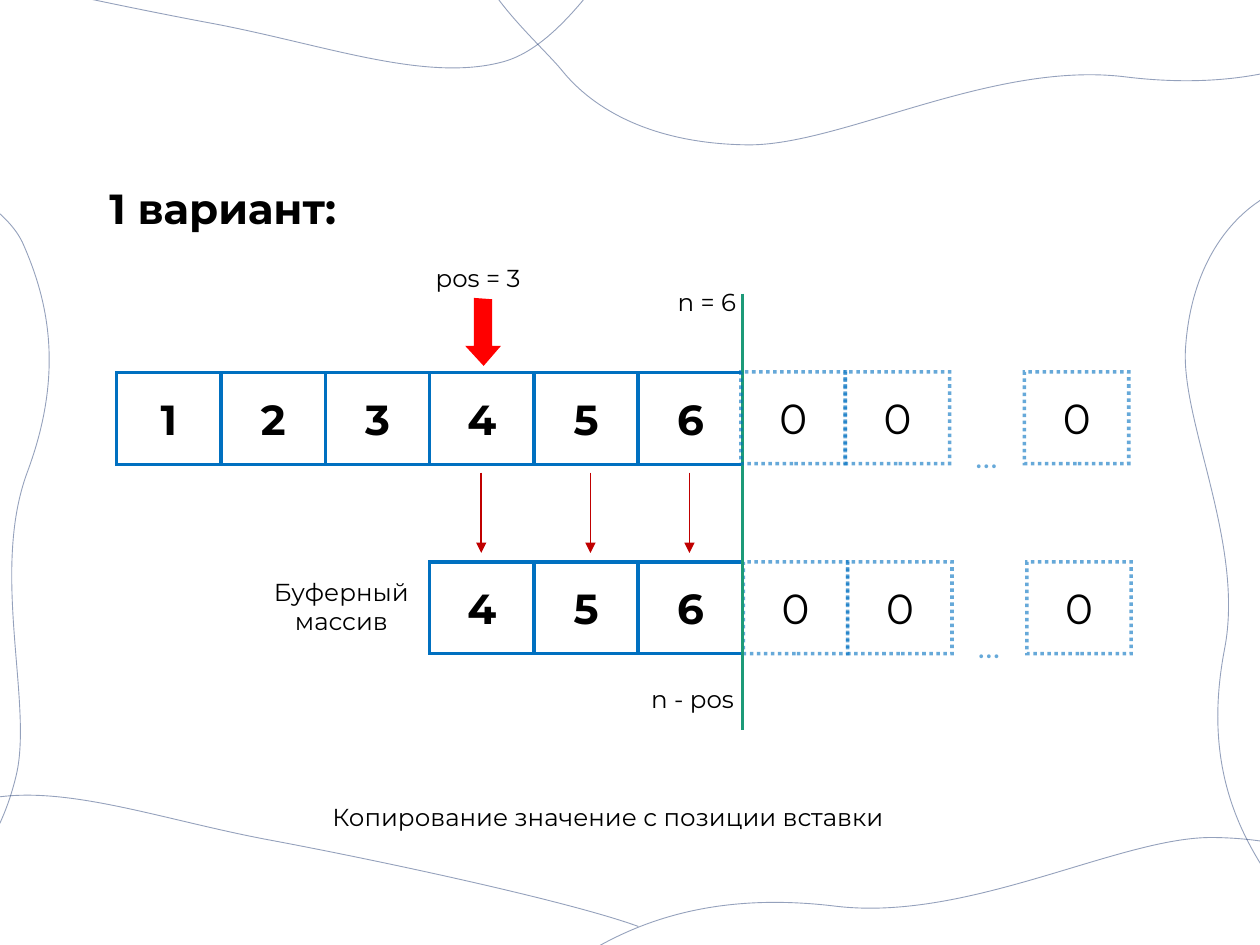
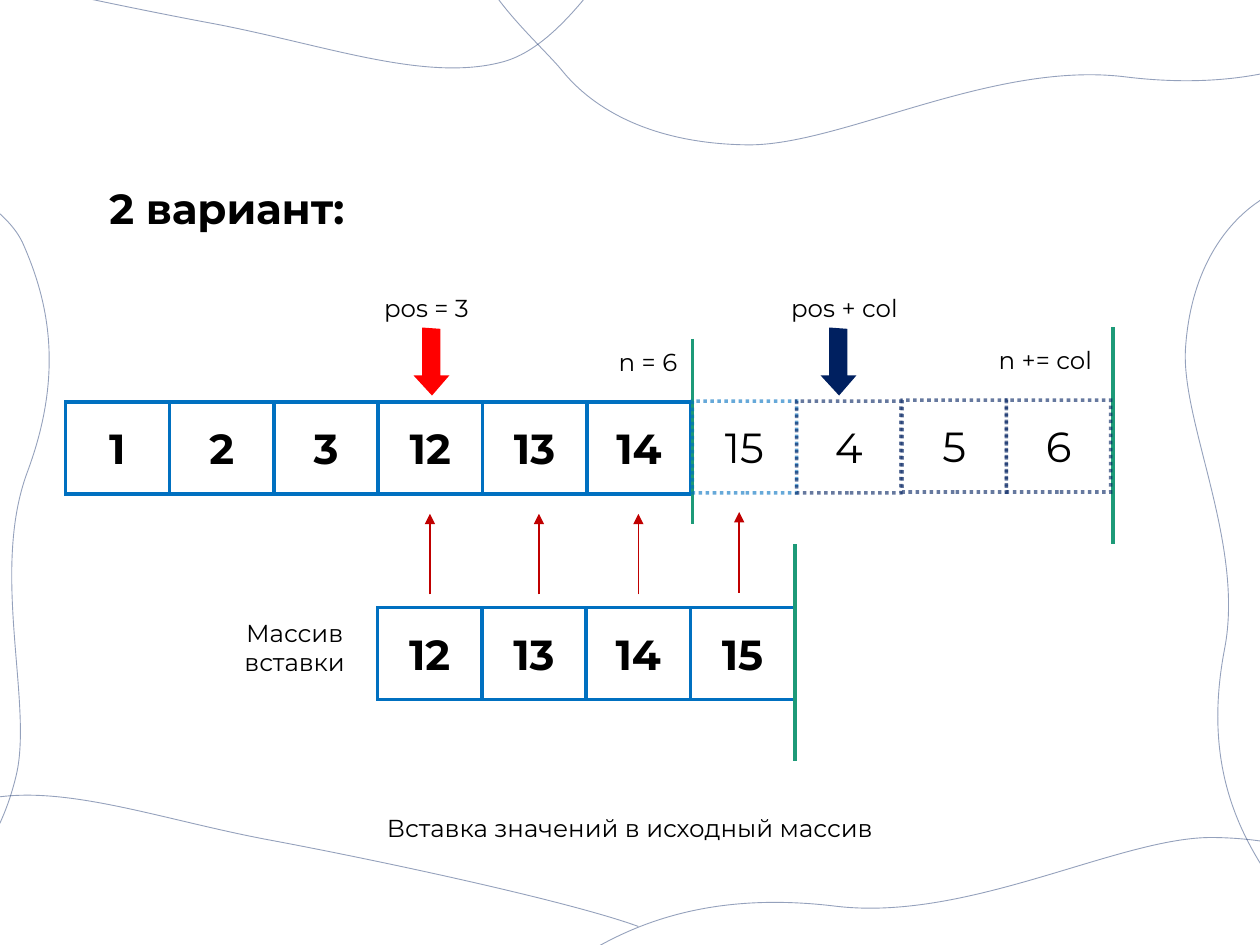
from dataclasses import dataclass

import pptx
import pptx.dml.color
import pptx.enum.dml
import pptx.enum.shapes
import pptx.enum.text
import pptx.oxml.ns
import pptx.util
from lxml import etree

Pt = pptx.util.Pt
ALIGN = pptx.enum.text.PP_ALIGN
ANCHOR = pptx.enum.text.MSO_ANCHOR
qn = pptx.oxml.ns.qn


@dataclass(frozen=True)
class Theme:
    font: str = "Montserrat"
    black: str = "000000"
    white: str = "FFFFFF"
    blue: str = "0070C0"
    navy: str = "002060"
    green: str = "1D9A78"
    red: str = "FF0000"
    dark_red: str = "C00000"
    big: int = 24
    dots: int = 20
    small: int = 14


THEME = Theme()

# Cell grid and the block arrow outline
STEP, HIGH = 59.6, 52.5
ARROW = [(4.3, 0), (4.3, 27.4), (0, 27.4), (9.4, 37.6),
         (18.2, 27.4), (13.7, 27.4), (13.7, 0.7)]

# Background waves: size, then a start point and three points per Bezier piece
SIDE = (468, 144.7), [
    (424.5, 30.6), (394.9, 17.7), (113.4, 30.6), (37.1, 29.2),
    (-38.5, 28.5), (22, 85.3), (34.9, 104.8),
    (48.6, 123.5), (74.5, 141.5), (117, 144.4),
    (158.8, 147.3), (229.3, 110.5), (289.1, 122.1),
    (348.9, 133.6), (387.7, 117.7), (418, 97.6),
    (447.5, 76.7), (454, 8.3), (468, 0)]
SHORT = (445.7, 167), [
    (0, 167), (42.6, 168.7), (155.5, 157.3), (218.6, 149.2),
    (282.7, 141.4), (344.1, 144.3), (382.2, 119.2),
    (419.6, 94.3), (427.5, 10.9), (445.7, 0)]
LONG = (592.6, 176.4), [
    (537.2, 37.5), (499.9, 22.4), (143.6, 37.8), (47.8, 36.9),
    (-48.7, 35.3), (28.2, 105.1), (45, 128.2),
    (61.7, 151.5), (94.5, 172.8), (148.4, 176.4),
    (201.5, 180), (290.4, 135.8), (366.2, 149.3),
    (441.9, 162.8), (491.2, 143.8), (528.5, 119.1),
    (566.7, 93.8), (574.1, 10.6), (592.6, 0)]

# Each wave is placed twice: left, top, rotation
WAVES = [(SIDE, -276.5, 243.4, 279.5), (SIDE, 515.5, 243.4, 90),
         (SHORT, -95.8, 457.2, 197.8), (LONG, 254.2, 486.7, 176.8),
         (SHORT, -75.6, -131, 17.8), (LONG, 273.6, -101.5, 356.9)]


def color(code):
    return pptx.dml.color.RGBColor.from_string(code)


def add_tag(parent, name, **values):
    return etree.SubElement(parent, qn(name), values)


def fade(element, percent):
    """Set the opacity of every colour inside an element."""
    for item in element.iter(qn("a:srgbClr")):
        add_tag(item, "a:alpha", val=str(percent * 1000))


def curve(shape, points):
    """Replace the outline of a freeform by Bezier pieces."""
    route = next(shape.element.iter(qn("a:path")))
    for child in list(route):
        route.remove(child)
    for num, (x, y) in enumerate(points):
        if num == 0:
            piece = add_tag(route, "a:moveTo")
        elif num % 3 == 1:
            piece = add_tag(route, "a:cubicBezTo")
        add_tag(piece, "a:pt", x=str(Pt(x)), y=str(Pt(y)))


def write(frame, text, size=THEME.small, ink=THEME.black, bold=False,
          align=ALIGN.LEFT, anchor=ANCHOR.TOP):
    frame.word_wrap = True
    frame.vertical_anchor = anchor
    para = frame.paragraphs[0]
    para.alignment = align
    run = para.add_run()
    run.text = text
    font = run.font
    font.name, font.size, font.bold = THEME.font, Pt(size), bold
    font.color.rgb = color(ink)


class Deck:
    def __init__(self):
        self.show = pptx.Presentation()
        self.show.slide_width, self.show.slide_height = Pt(720), Pt(540)
        self.theme = THEME
        self.slide = None

    def start(self, title, width):
        """Add a slide with its waves and title."""
        self.slide = self.show.slides.add_slide(self.show.slide_layouts[6])
        for wave in WAVES:
            self.wave(*wave)
        self.label(title, 55.4, 100.8, width, 36, size=self.theme.big, bold=True)

    def style(self, shape, line, width, fill=None):
        shape.shadow.inherit = False
        if fill:
            shape.fill.solid()
            shape.fill.fore_color.rgb = color(fill)
        else:
            shape.fill.background()
        shape.line.color.rgb = color(line)
        shape.line.width = Pt(width)
        add_tag(shape.element.spPr.find(qn("a:ln")), "a:miter", lim="800000")

    def outline(self, points, close):
        spots = [(Pt(x), Pt(y)) for x, y in points]
        build = self.slide.shapes.build_freeform(*spots[0])
        build.add_line_segments(spots[1:], close=close)
        return build.convert_to_shape()

    def wave(self, form, x, y, angle):
        (width, height), points = form
        shape = self.outline([(x, y), (x + width, y + height)], False)
        curve(shape, points)
        shape.rotation = angle
        self.style(shape, self.theme.navy, 0.5)
        fade(shape.element.spPr, 42)

    def label(self, text, x, y, width, height=24.2, **form):
        box = self.slide.shapes.add_textbox(Pt(x), Pt(y), Pt(width), Pt(height))
        write(box.text_frame, text, **form)
        box.text_frame.auto_size = pptx.enum.text.MSO_AUTO_SIZE.SHAPE_TO_FIT_TEXT
        return box

    def cell(self, text, x, y, line, dotted):
        shape = self.slide.shapes.add_shape(
            pptx.enum.shapes.MSO_SHAPE.RECTANGLE, Pt(x), Pt(y), Pt(STEP), Pt(HIGH))
        self.style(shape, line, 2, None if dotted else self.theme.white)
        if dotted:
            shape.line.dash_style = pptx.enum.dml.MSO_LINE.ROUND_DOT
            fade(shape.element.spPr, 60)
        write(shape.text_frame, text, size=self.theme.big, bold=not dotted,
              align=ALIGN.CENTER, anchor=ANCHOR.MIDDLE)

    def row(self, texts, x, y, line=THEME.blue, dotted=False):
        for num, text in enumerate(texts):
            self.cell(text, x + num * STEP, y, line, dotted)

    def spare(self, x, y):
        """Draw the free cells: two, an ellipsis and the last one."""
        self.row("00", x, y, dotted=True)
        dots = self.label("…", x + 126.7, y + 31.6, 36.7, 31.7,
                          size=self.theme.dots, ink=self.theme.blue)
        fade(dots.element, 60)
        self.row("0", x + 162, y, dotted=True)

    def line(self, x, top, end, ink=THEME.green, width=2, arrow=False):
        link = self.slide.shapes.add_connector(
            pptx.enum.shapes.MSO_CONNECTOR.STRAIGHT, Pt(x), Pt(top), Pt(x), Pt(end))
        link.line.color.rgb = color(ink)
        link.line.width = Pt(width)
        if arrow:
            add_tag(link.element.spPr.find(qn("a:ln")), "a:tailEnd", type="triangle")
        add_tag(link.element.spPr, "a:effectLst")

    def arrow(self, x, top, end):
        self.line(x, top, end, self.theme.dark_red, 1, True)

    def mark(self, text, x, y, ink):
        """Draw a label with a block arrow under it."""
        shape = self.outline([(x + 25.1 + dx, y + 23.9 + dy) for dx, dy in ARROW], True)
        self.style(shape, ink, 1, ink)
        self.label(text, x, y, 76.3)


def copy_slide(deck):
    deck.start("1 вариант:", 146.9)

    # Source array
    deck.row("123456", 66.7, 213)
    deck.line(424.4, 167.8, 291.6)
    deck.spare(423.4, 212.5)
    deck.label("n = 6", 380.2, 160.6, 53.3)
    deck.mark("pos = 3", 241.9, 146.9, deck.theme.red)

    # Buffer array
    deck.row("456", 245.5, 321.1)
    deck.spare(424.8, 321.1)
    deck.line(424.4, 275.8, 417.3)
    deck.label("Буферный массив", 127.4, 326.2, 135.4, 41, align=ALIGN.CENTER)
    deck.label("n - pos", 365, 387.4, 77.8)

    # Copying
    for x in (275, 337.4, 394):
        deck.arrow(x, 270, 316)
    deck.label("Копирование значение с позиции вставки", 182.9, 455, 354.2)


def insert_slide(deck):
    deck.start("2 вариант:", 167.8)

    # Target array
    deck.row(["1", "2", "3", "12", "13", "14"], 37.3, 229.8)
    deck.line(636, 187, 311)
    deck.mark("pos = 3", 212.4, 163.8, deck.theme.red)
    deck.label("n += col", 563.6, 193.7, 72)
    deck.mark("pos + col", 445, 163.8, deck.theme.navy)
    deck.line(395.8, 193.7, 299.5)
    deck.row(["15"], 395.6, 229.2, dotted=True)
    deck.row("4", 455.2, 229.2, deck.theme.navy, True)
    deck.row("56", 515.5, 228.7, deck.theme.navy, True)
    deck.label("n = 6", 346.5, 194.7, 72)
    deck.label("Вставка значений в исходный массив", 204.5, 461.2, 311,
               align=ALIGN.CENTER)

    # Inserted array
    deck.row(["12", "13", "14", "15"], 215.7, 347.2)
    deck.line(454.3, 311, 434.9)

    # Insertion
    for x in (245.7, 308, 364.8):
        deck.arrow(x, 339.6, 293.6)
    deck.arrow(422.4, 338.6, 292.6)
    deck.label("Массив вставки", 113, 349.4, 110.9, 41, align=ALIGN.CENTER)


def main():
    deck = Deck()
    copy_slide(deck)
    insert_slide(deck)
    deck.show.save("out.pptx")


if __name__ == "__main__":
    main()
